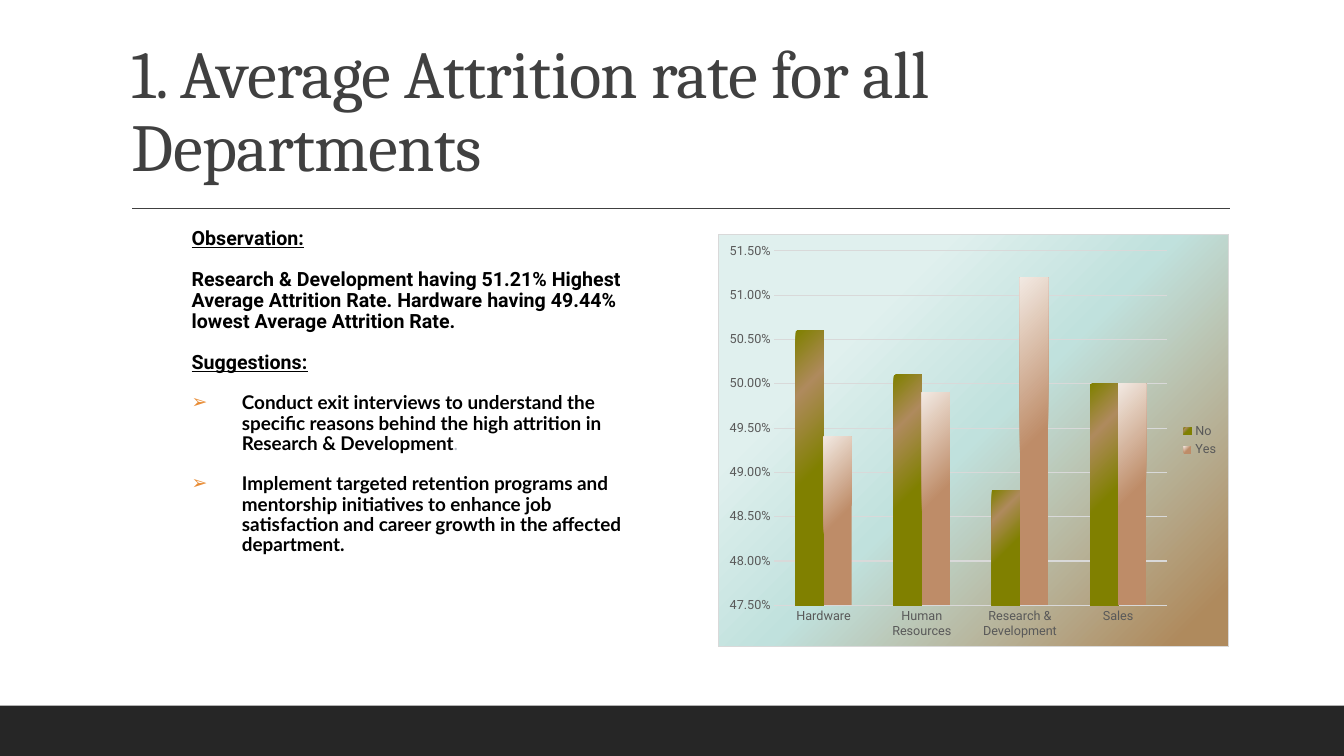
from lxml import etree
from pptx import Presentation
from pptx.chart.data import CategoryChartData
from pptx.dml.color import RGBColor
from pptx.enum.chart import XL_CHART_TYPE, XL_LEGEND_POSITION, XL_TICK_MARK
from pptx.enum.shapes import MSO_CONNECTOR, MSO_SHAPE
from pptx.enum.text import MSO_ANCHOR
from pptx.oxml import parse_xml
from pptx.oxml.ns import nsdecls, qn
from pptx.util import Inches, Pt

COLORS = {
    "footer": "262626", "title": "404040", "body": "000000", "period": "B3BCCB",
    "bullet": "E88B33", "label": "595959", "grid": "D9D9D9",
}
TITLE = "1. Average Attrition rate for all Departments"
# (kind, text, faint ending)
BODY = [
    ("heading", "Observation:", ""),
    ("plain", "Research & Development having 51.21% Highest Average Attrition Rate. "
              "Hardware having 49.44% lowest Average Attrition Rate.", ""),
    ("heading", "Suggestions:", ""),
    ("bullet", "Conduct exit interviews to understand the specific reasons behind "
               "the high attrition in Research & Development", "."),
    ("bullet", "Implement targeted retention programs and mentorship initiatives to "
               "enhance job satisfaction and career growth in the affected department.", ""),
]
DEPARTMENTS = ["Hardware", "Human Resources", "Research & Development", "Sales"]
RATES = {
    "No": [0.506, 0.501, 0.488, 0.5],
    "Yes": [0.494, 0.499, 0.512, 0.5],
}
# (angle, [(position in percent, color)])
GRADIENTS = {
    "chart": (45, [(25, "E0F0EE"), (50, "C0E1DD"), (94, "AF8A5D")]),
    "No": (45, [(0, "808000"), (22, "AF8A5D"), (53, "808000"), (100, "808000")]),
    "Yes": (225, [(50, "BE8C68"), (100, "F2E9E2")]),
}
PLOT_LAYOUT = {"x": 0.11, "y": 0.04, "w": 0.77, "h": 0.86}


def color(name):
    return RGBColor.from_string(COLORS[name])


def set_font(font, name, size, color_name, bold=False):
    font.name, font.size, font.bold = name, Pt(size), bold
    font.color.rgb = color(color_name)


def gradient_xml(name):
    angle, stops = GRADIENTS[name]
    stops_xml = "".join(
        f'<a:gs pos="{position * 1000}"><a:srgbClr val="{value}"/></a:gs>'
        for position, value in stops)
    return (f'<a:gradFill {nsdecls("a")} rotWithShape="1"><a:gsLst>{stops_xml}</a:gsLst>'
            f'<a:lin ang="{angle * 60000}" scaled="0"/></a:gradFill>')


def add_text_frame(slide, left, top, width, height):
    text_frame = slide.shapes.add_textbox(*map(Inches, (left, top, width, height))).text_frame
    text_frame.word_wrap = True
    return text_frame


def add_frame(slide):
    """Draw the footer band and the rule under the title."""
    footer = slide.shapes.add_shape(
        MSO_SHAPE.RECTANGLE, 0, Inches(7), Inches(13.33), Inches(0.5))
    footer.shadow.inherit = False
    footer.fill.solid()
    footer.fill.fore_color.rgb = color("footer")
    footer.line.fill.background()
    rule = slide.shapes.add_connector(
        MSO_CONNECTOR.STRAIGHT, Inches(1.31), Inches(2.07), Inches(12.2), Inches(2.07))
    rule.line.color.rgb = color("title")
    rule.line.width = Pt(1.25)
    etree.SubElement(rule._element.spPr, qn("a:effectLst"))


def add_title(slide):
    text_frame = add_text_frame(slide, 1.21, 0.3, 11, 1.59)
    text_frame.vertical_anchor = MSO_ANCHOR.BOTTOM
    text_frame.text = TITLE
    paragraph = text_frame.paragraphs[0]
    paragraph.line_spacing = 0.9
    run = paragraph.runs[0]
    set_font(run.font, "Cambria", 48, "title")
    run.font._element.set("spc", "-45")


def add_body(slide):
    text_frame = add_text_frame(slide, 1.2, 2.22, 5.21, 4.81)
    text_frame.margin_left = text_frame.margin_right = 0
    for index, (kind, text, ending) in enumerate(BODY):
        paragraph = text_frame.add_paragraph() if index else text_frame.paragraphs[0]
        paragraph.line_spacing = 0.9
        paragraph.space_before = Pt(12 if index else 0)
        paragraph.space_after = Pt(2)
        is_bullet = kind == "bullet"
        properties = paragraph._p.get_or_add_pPr()
        properties.set("marL", str(Inches(1.2 if is_bullet else 0.7)))
        properties.set("indent", str(Inches(-0.5 if is_bullet else 0)))
        if is_bullet:
            bullet_color = etree.SubElement(properties, qn("a:buClr"))
            etree.SubElement(bullet_color, qn("a:srgbClr"), val=COLORS["bullet"])
            etree.SubElement(properties, qn("a:buFont"), typeface="Roboto")
            etree.SubElement(properties, qn("a:buChar"), char="➢")
        font_name, size = ("Lato", 13.5) if is_bullet else ("Roboto", 14)
        run = paragraph.add_run()
        run.text = text
        set_font(run.font, font_name, size, "body", bold=True)
        run.font.underline = kind == "heading"
        if ending:
            run = paragraph.add_run()
            run.text = ending
            set_font(run.font, font_name, size, "period")


def style_chart_area(chart):
    """Give the chart its gradient background, border and plot position."""
    chart_element = chart._chartSpace.find(qn("c:chart"))
    chart_element.addnext(parse_xml(
        f'<c:spPr {nsdecls("c", "a")}>{gradient_xml("chart")}<a:ln w="{Pt(0.75)}">'
        f'<a:solidFill><a:srgbClr val="{COLORS["grid"]}"/></a:solidFill></a:ln></c:spPr>'))
    plot_area = chart_element.find(qn("c:plotArea"))
    old_layout = plot_area.find(qn("c:layout"))
    if old_layout is not None:
        plot_area.remove(old_layout)
    sizes = "".join(f'<c:{key} val="{value}"/>' for key, value in PLOT_LAYOUT.items())
    plot_area.insert(0, parse_xml(
        f'<c:layout {nsdecls("c")}><c:manualLayout><c:layoutTarget val="inner"/>'
        f'<c:xMode val="edge"/><c:yMode val="edge"/>{sizes}</c:manualLayout></c:layout>'))


def add_attrition_chart(slide):
    data = CategoryChartData(number_format="0.00%")
    data.categories = DEPARTMENTS
    for name, values in RATES.items():
        data.add_series(name, values)
    chart = slide.shapes.add_chart(
        XL_CHART_TYPE.COLUMN_CLUSTERED,
        *map(Inches, (7.12, 2.32, 5.07, 4.1)), data).chart
    set_font(chart.font, "Roboto", 10, "body")
    chart.has_title = False
    chart.has_legend = True
    chart.legend.position = XL_LEGEND_POSITION.RIGHT
    chart.legend.include_in_layout = False
    set_font(chart.legend.font, "Roboto", 9, "label")

    for axis in (chart.category_axis, chart.value_axis):
        axis.major_tick_mark = axis.minor_tick_mark = XL_TICK_MARK.NONE
        axis.format.line.fill.background()
        set_font(axis.tick_labels.font, "Roboto", 9, "label")
    value_axis = chart.value_axis
    value_axis.minimum_scale, value_axis.maximum_scale = 0.475, 0.515
    value_axis.major_unit = 0.005
    value_axis.tick_labels.number_format = "0.00%"
    value_axis.tick_labels.number_format_is_linked = False
    grid_line = value_axis.major_gridlines.format.line
    grid_line.color.rgb = color("grid")
    grid_line.width = Pt(0.75)

    plot = chart.plots[0]
    plot.vary_by_categories = False
    plot.gap_width, plot.overlap = 150, 0
    for series in plot.series:
        series.invert_if_negative = False
        series._element.get_or_add_spPr().insert(0, parse_xml(gradient_xml(series.name)))
    style_chart_area(chart)


def main():
    presentation = Presentation()
    presentation.slide_width, presentation.slide_height = Inches(13.33), Inches(7.5)
    slide = presentation.slides.add_slide(presentation.slide_layouts[6])
    add_frame(slide)
    add_title(slide)
    add_body(slide)
    add_attrition_chart(slide)
    presentation.save("out.pptx")


if __name__ == "__main__":
    main()
